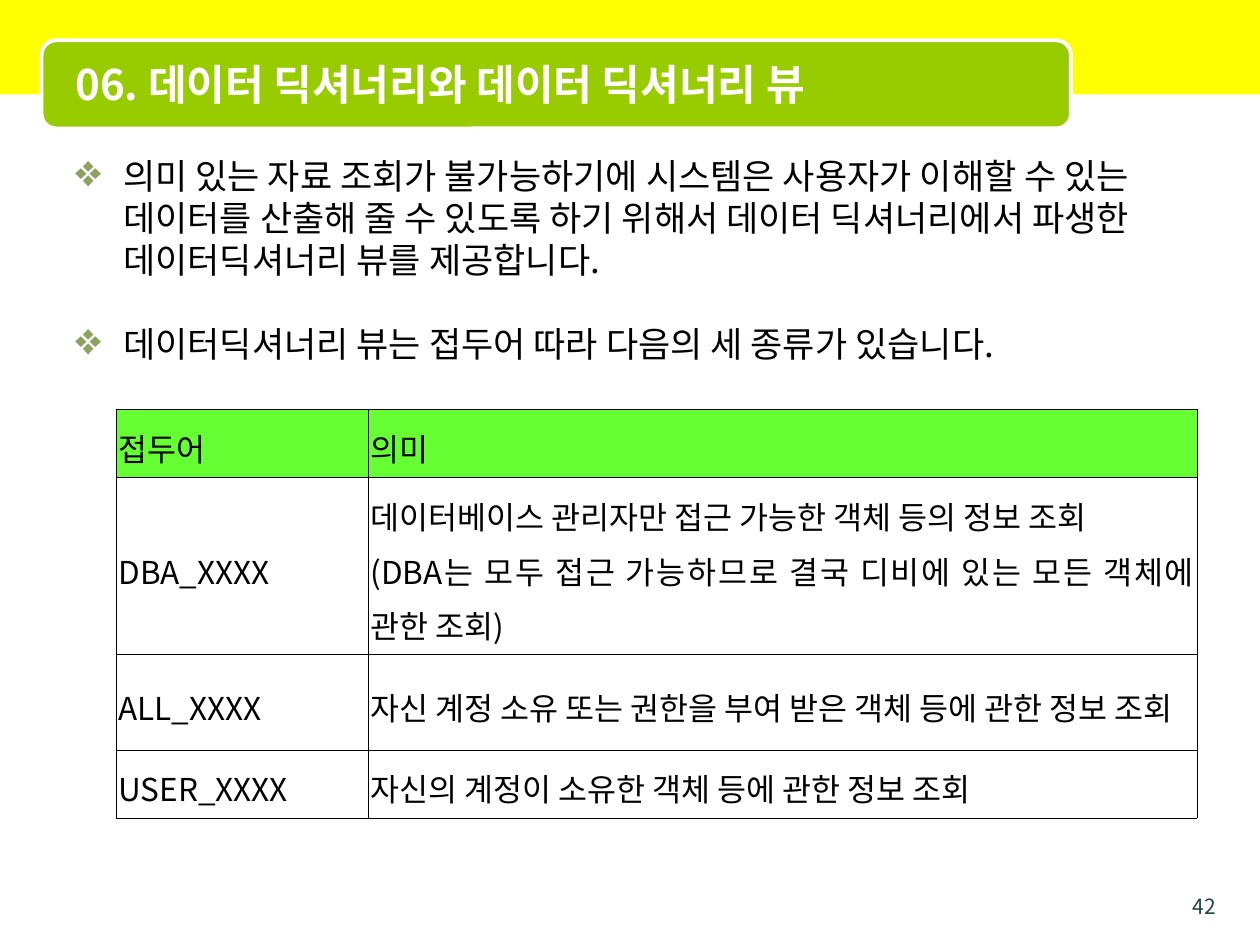
from dataclasses import dataclass
from typing import Any, Optional

from lxml.etree import SubElement
from pptx import Presentation
from pptx.dml.color import RGBColor
from pptx.enum.shapes import MSO_SHAPE as SHAPE
from pptx.enum.text import MSO_ANCHOR as ANCHOR, PP_ALIGN as ALIGN
from pptx.oxml.ns import qn
from pptx.util import Inches, Pt

FONT = "Noto Sans CJK KR"
COLORS = {
    "band": "FFFF00", "banner": "99CC00", "white": "FFFFFF", "black": "000000",
    "number": "1D4940", "bullet": "8CA35F", "header": "66FF33",
}
COLUMNS = [2, 6.58]
HEIGHTS = [0.54, 1.4, 0.76, 0.54]
ROWS = [
    ["접두어", "의미"],
    ["DBA_XXXX", "데이터베이스 관리자만 접근 가능한 객체 등의 정보 조회\n"
                 "(DBA는 모두 접근 가능하므로 결국 디비에 있는 모든 객체에 관한 조회)"],
    ["ALL_XXXX", "자신 계정 소유 또는 권한을 부여 받은 객체 등에 관한 정보 조회"],
    ["USER_XXXX", "자신의 계정이 소유한 객체 등에 관한 정보 조회"],
]
POINTS = [
    "의미 있는 자료 조회가 불가능하기에 시스템은 사용자가 이해할 수 있는 데이터를 산출해 줄 수 "
    "있도록 하기 위해서 데이터 딕셔너리에서 파생한 데이터딕셔너리 뷰를 제공합니다.",
    "데이터딕셔너리 뷰는 접두어 따라 다음의 세 종류가 있습니다.",
]


@dataclass
class Panel:
    """A filled background shape."""
    kind: Any
    box: tuple
    fill: str
    line: Optional[str] = None


@dataclass
class Label:
    """A text box and its format."""
    box: tuple
    lines: list
    size: float
    color: str
    bold: bool = False
    align: Any = ALIGN.LEFT
    anchor: Any = ANCHOR.TOP
    bullet: str = ""


PANELS = [
    Panel(SHAPE.RECTANGLE, (0, 0, 10, 0.75), "band"),
    Panel(SHAPE.ROUNDED_RECTANGLE, (0.33, 0.32, 8.17, 0.7), "banner", "white"),
]
LABELS = [
    Label((9.25, 7.04, 0.5, 0.21), ["42"], 12, "number", align=ALIGN.RIGHT),
    Label((0.5, 0.35, 7.92, 0.62), ["06. 데이터 딕셔너리와 데이터 딕셔너리 뷰"], 24, "white",
          bold=True, anchor=ANCHOR.MIDDLE),
    Label((0.5, 1.18, 9, 6.14), POINTS, 20, "black", bullet="❖"),
]


def rgb(name: str) -> RGBColor:
    """Look up a named colour."""
    return RGBColor.from_string(COLORS[name])


def apply(target: Any, values: dict) -> None:
    """Set each attribute given in a dict."""
    for name, value in values.items():
        setattr(target, name, value)


def add_run(p: Any, text: str, size: float, color: str, bold: bool = False) -> None:
    """Add an unkerned run with Latin and East Asian fonts."""
    r = p.add_run()
    r.text = text
    apply(r.font, {"name": FONT, "size": Pt(size), "bold": bold})
    r.font.color.rgb = rgb(color)
    r.font._element.set("kern", "0")
    SubElement(r.font._element, qn("a:ea"), typeface=FONT)


def add_bullet(p: Any, char: str) -> None:
    """Give a paragraph a coloured bullet with a hanging indent."""
    pPr = p._p.get_or_add_pPr()
    indent = Inches(0.38)
    pPr.set("marL", str(indent))
    pPr.set("indent", str(-indent))
    clr = SubElement(pPr, qn("a:buClr"))
    SubElement(clr, qn("a:srgbClr"), val=COLORS["bullet"])
    SubElement(pPr, qn("a:buSzPct"), val="130000")
    SubElement(pPr, qn("a:buChar"), char=char)


def draw_panel(slide: Any, panel: Panel) -> None:
    """Draw one background shape."""
    s = slide.shapes.add_shape(panel.kind, *map(Inches, panel.box))
    s.shadow.inherit = False
    s.fill.solid()
    s.fill.fore_color.rgb = rgb(panel.fill)
    if panel.line:
        s.line.color.rgb = rgb(panel.line)
        s.line.width = Pt(2.25)
    else:
        s.line.fill.background()


def draw_label(slide: Any, label: Label) -> None:
    """Draw one text box."""
    tf = slide.shapes.add_textbox(*map(Inches, label.box)).text_frame
    apply(tf, {"word_wrap": True, "vertical_anchor": label.anchor})
    for i, line in enumerate(label.lines):
        p = tf.add_paragraph() if i else tf.paragraphs[0]
        p.alignment = label.align
        if label.bullet:
            add_bullet(p, label.bullet)
            apply(p, {"line_spacing": Pt(24), "space_before": Pt(24 if i else 0)})
        add_run(p, line, label.size, label.color, label.bold)


def add_borders(cell: Any) -> None:
    """Draw a hairline on each side of a cell."""
    tcPr = cell._tc.get_or_add_tcPr()
    for i, side in enumerate(("lnL", "lnR", "lnT", "lnB")):
        ln = tcPr.makeelement(qn(f"a:{side}"), {"w": str(Pt(0.11))})
        fill = SubElement(ln, qn("a:solidFill"))
        SubElement(fill, qn("a:srgbClr"), val=COLORS["black"])
        tcPr.insert(i, ln)


def fill_cell(cell: Any, text: str, header: bool) -> None:
    """Write and format one table cell."""
    apply(cell, {"margin_left": Inches(0.02), "margin_right": Inches(0.02),
                 "vertical_anchor": ANCHOR.MIDDLE})
    if header:
        cell.fill.solid()
        cell.fill.fore_color.rgb = rgb("header")
    else:
        cell.fill.background()
    for i, line in enumerate(text.split("\n")):
        p = cell.text_frame.add_paragraph() if i else cell.text_frame.paragraphs[0]
        apply(p, {"alignment": ALIGN.JUSTIFY, "line_spacing": 1.2})
        add_run(p, line, 18, "black")
    add_borders(cell)


def draw_table(slide: Any) -> None:
    """Draw the table of view prefixes."""
    box = (0.92, 3.25, sum(COLUMNS), sum(HEIGHTS))
    table = slide.shapes.add_table(len(ROWS), len(COLUMNS), *map(Inches, box)).table
    apply(table, {"first_row": False, "horz_banding": False})
    for column, width in zip(table.columns, COLUMNS):
        column.width = Inches(width)
    for i, (row, height) in enumerate(zip(table.rows, HEIGHTS)):
        row.height = Inches(height)
        for cell, text in zip(row.cells, ROWS[i]):
            fill_cell(cell, text, i == 0)


def main() -> None:
    """Build the slide and save it."""
    prs = Presentation()
    apply(prs, {"slide_width": Inches(10), "slide_height": Inches(7.5)})
    slide = prs.slides.add_slide(prs.slide_layouts[6])
    for panel in PANELS:
        draw_panel(slide, panel)
    for label in LABELS:
        draw_label(slide, label)
    draw_table(slide)
    prs.save("out.pptx")


if __name__ == "__main__":
    main()
